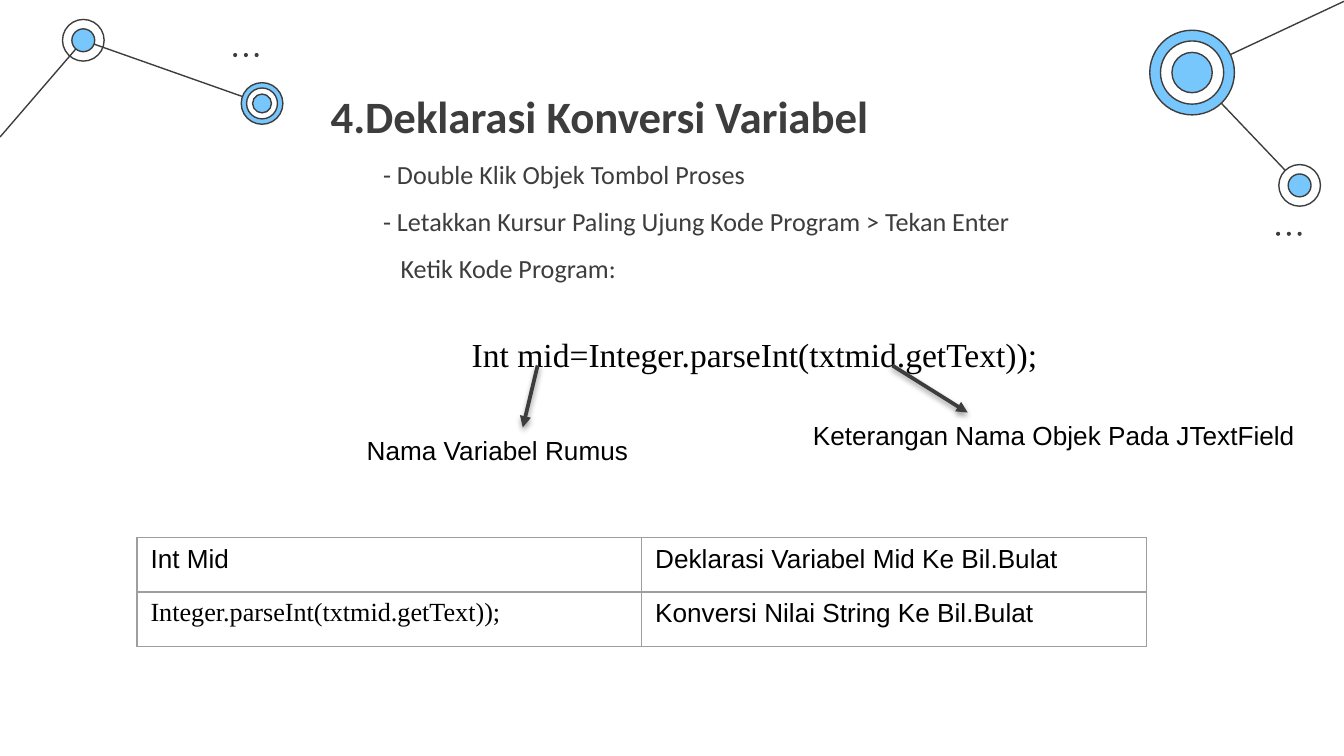
from lxml import etree
from pptx import Presentation
from pptx import util as u
from pptx.dml import color
from pptx.enum import shapes, text
from pptx.oxml import ns

COLORS = {"ink": "3D3D3D", "sky": "77C6FC", "paper": "FFFFFF",
          "code": "000000", "border": "9E9E9E"}
HEADING = {"name": "Calibri", "size": u.Pt(24), "bold": True}
STEP = {"name": "Calibri", "size": u.Pt(14), "bold": False}
CODE = {"name": "Times New Roman", "size": u.Pt(18), "bold": False}
LABEL = {"name": "Arial", "size": u.Pt(14), "bold": False}
CODE_CELL = {**LABEL, "name": "Times New Roman"}


def rgb(name):
    """Return the named palette colour."""
    return color.RGBColor.from_string(COLORS[name])


def apply(target, values):
    """Set every attribute in a dict of format values."""
    for name, value in values.items():
        setattr(target, name, value)


def write(paragraph, words, font, ink):
    """Add one formatted run to a paragraph."""
    run = paragraph.add_run()
    run.text = words
    apply(run.font, font)
    run.font.color.rgb = rgb(ink)


def element(parent, tag, **attributes):
    """Append a DrawingML element to its parent."""
    return etree.SubElement(parent, ns.qn(f"a:{tag}"), attributes)


def place(shape, left, top, width, height):
    """Move and size a shape in inches."""
    apply(shape, {"left": u.Inches(left), "top": u.Inches(top),
                  "width": u.Inches(width), "height": u.Inches(height)})


def line(slide, start, end, weight=0.75):
    """Draw a dark straight line and return it with its empty effect list."""
    link = slide.shapes.add_connector(
        shapes.MSO_CONNECTOR.STRAIGHT, *map(u.Inches, (*start, *end)))
    link.line.color.rgb = rgb("ink")
    link.line.width = u.Pt(weight)
    effects = element(link._element.spPr, "effectLst")
    return link, effects


def disc(slide, center, diameter, fill, outlined=True):
    """Draw a circle around a centre point."""
    x, y = (c - diameter / 2 for c in center)
    circle = slide.shapes.add_shape(
        shapes.MSO_SHAPE.OVAL, *map(u.Inches, (x, y, diameter, diameter)))
    circle.shadow.inherit = False
    if fill:
        circle.fill.solid()
        circle.fill.fore_color.rgb = rgb(fill)
    else:
        circle.fill.background()
    if outlined:
        circle.line.color.rgb = rgb("ink")
        circle.line.width = u.Pt(0.75)
    else:
        circle.line.fill.background()


def node(slide, center, rings):
    """Stack concentric circles from the widest to the narrowest."""
    for diameter, fill in rings:
        disc(slide, center, diameter, fill)


def dots(slide, left, middle):
    """Draw a row of three small dots."""
    for i in range(3):
        disc(slide, (left + 0.08 * i, middle), 0.03, "ink", outlined=False)


def network(slide):
    """Draw the linked nodes in both upper corners."""
    small, twin, large, low = (0.62, 0.3), (1.95, 0.77), (8.87, 0.54), (9.67, 1.38)
    for start, end in ((low, large), (small, twin), ((0, 1.02), small), ((10, 0.01), large)):
        line(slide, start, end)
    node(slide, small, ((0.31, None), (0.17, "sky")))
    node(slide, twin, ((0.31, "sky"), (0.23, "paper"), (0.14, "sky")))
    node(slide, large, ((0.63, "sky"), (0.47, "paper"), (0.3, "sky")))
    node(slide, low, ((0.31, "paper"), (0.17, "sky")))
    dots(slide, 1.75, 0.41)
    dots(slide, 9.51, 1.74)


def steps(slide, left, top, width, height):
    """Fill the title and the list of steps ending in the code line."""
    heading, body = slide.shapes.title, slide.placeholders[1]
    title_height = 0.65
    place(heading, left, top, width, title_height)
    place(body, left, top + title_height, width, height - title_height)
    frame = {"word_wrap": True, "auto_size": text.MSO_AUTO_SIZE.NONE,
             "vertical_anchor": text.MSO_ANCHOR.TOP,
             "margin_left": u.Inches(0.1), "margin_right": u.Inches(0.1)}
    apply(heading.text_frame, {**frame, "margin_top": u.Inches(0.05), "margin_bottom": 0})
    apply(body.text_frame, {**frame, "margin_top": 0, "margin_bottom": 0})
    spacing = {"alignment": text.PP_ALIGN.JUSTIFY, "line_spacing": 1.5,
               "space_before": u.Pt(0), "space_after": u.Pt(0)}
    title_line = heading.text_frame.paragraphs[0]
    apply(title_line, spacing)
    write(title_line, "4.Deklarasi Konversi Variabel", HEADING, "ink")
    rows = (
        ("- Double Klik Objek Tombol Proses", 0.39, 0, STEP, "ink"),
        ("- Letakkan Kursur Paling Ujung Kode Program > Tekan Enter", 0.39, 0, STEP, "ink"),
        ("Ketik Kode Program:", 0.52, 0, STEP, "ink"),
        ("Int mid=Integer.parseInt(txtmid.getText));", 1.05, 16, CODE, "code"),
    )
    for i, (words, indent, gap, font, ink) in enumerate(rows):
        item = body.text_frame.paragraphs[0] if i == 0 else body.text_frame.add_paragraph()
        apply(item, {**spacing, "space_before": u.Pt(gap)})
        properties = item._p.get_or_add_pPr()
        properties.set("marL", str(u.Inches(indent)))
        properties.set("indent", "0")
        element(properties, "buNone")
        write(item, words, font, ink)


def callout(slide, start, end, words, left, top, width, height=0.34):
    """Point a shadowed arrow from the code to its explanation."""
    arrow, effects = line(slide, start, end, 2)
    element(arrow._element.spPr.get_or_add_ln(), "tailEnd", type="triangle")
    shadow = element(effects, "outerShdw", blurRad=str(u.Pt(3.1)),
                     dist=str(u.Pt(1.6)), dir="5400000", rotWithShape="0")
    element(element(shadow, "srgbClr", val=COLORS["code"]), "alpha", val="38000")
    label = slide.shapes.add_textbox(*map(u.Inches, (left, top, width, height)))
    label.text_frame.word_wrap = False
    write(label.text_frame.paragraphs[0], words, LABEL, "code")


def meanings(slide, left, top, width, height):
    """Build the table explaining each part of the code."""
    rows = (("Int Mid", "Deklarasi Variabel Mid Ke Bil.Bulat"),
            ("Integer.parseInt(txtmid.getText));", "Konversi Nilai String Ke Bil.Bulat"))
    table = slide.shapes.add_table(
        2, 2, *map(u.Inches, (left, top, width, height))).table
    apply(table, {"first_row": False, "horz_banding": False})
    for r, row in enumerate(rows):
        for c, words in enumerate(row):
            cell = table.cell(r, c)
            font = CODE_CELL if (r, c) == (1, 0) else LABEL
            write(cell.text_frame.paragraphs[0], words, font, "code")
            properties = cell._tc.get_or_add_tcPr()
            for side in ("lnL", "lnR", "lnT", "lnB"):
                border = element(properties, side, w=str(u.Pt(0.75)))
                element(element(border, "solidFill"), "srgbClr", val=COLORS["border"])
            cell.fill.background()


def main():
    """Build and save the slide."""
    deck = Presentation()
    deck.slide_width = u.Inches(10)
    deck.slide_height = deck.slide_width * 9 // 16
    slide = deck.slides.add_slide(deck.slide_layouts[1])
    network(slide)
    steps(slide, 2.36, 0.41, 7.43, 2.4)
    meanings(slide, 1.02, 4, 7.51, 0.81)
    callout(slide, (4, 2.72), (3.89, 3.18), "Nama Variabel Rumus", 2.63, 3.18, 2.17)
    callout(slide, (6.64, 2.72), (7.2, 3.07),
            "Keterangan Nama Objek Pada JTextField", 5.95, 3.07, 3.83)
    deck.save("out.pptx")


if __name__ == "__main__":
    main()
